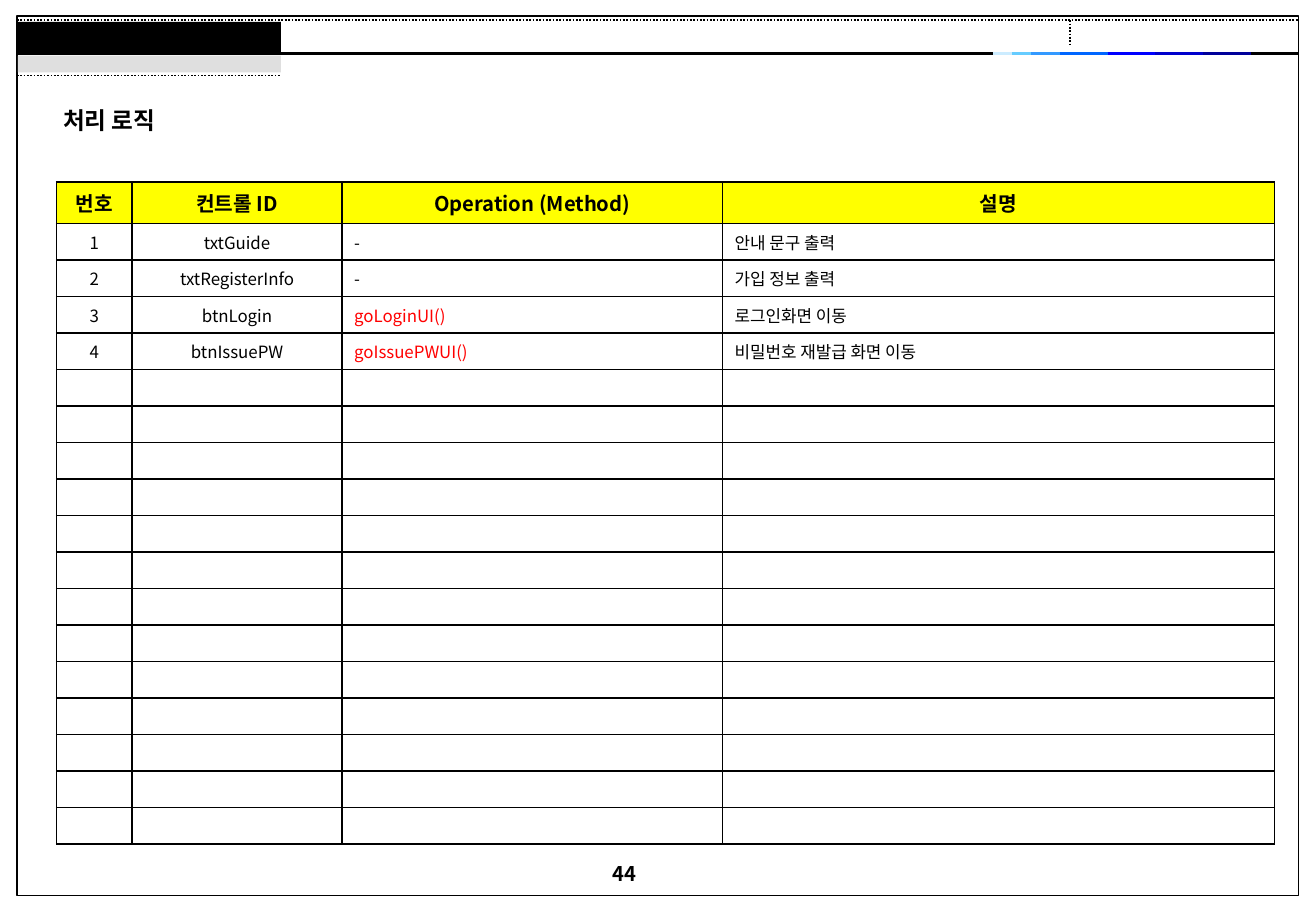
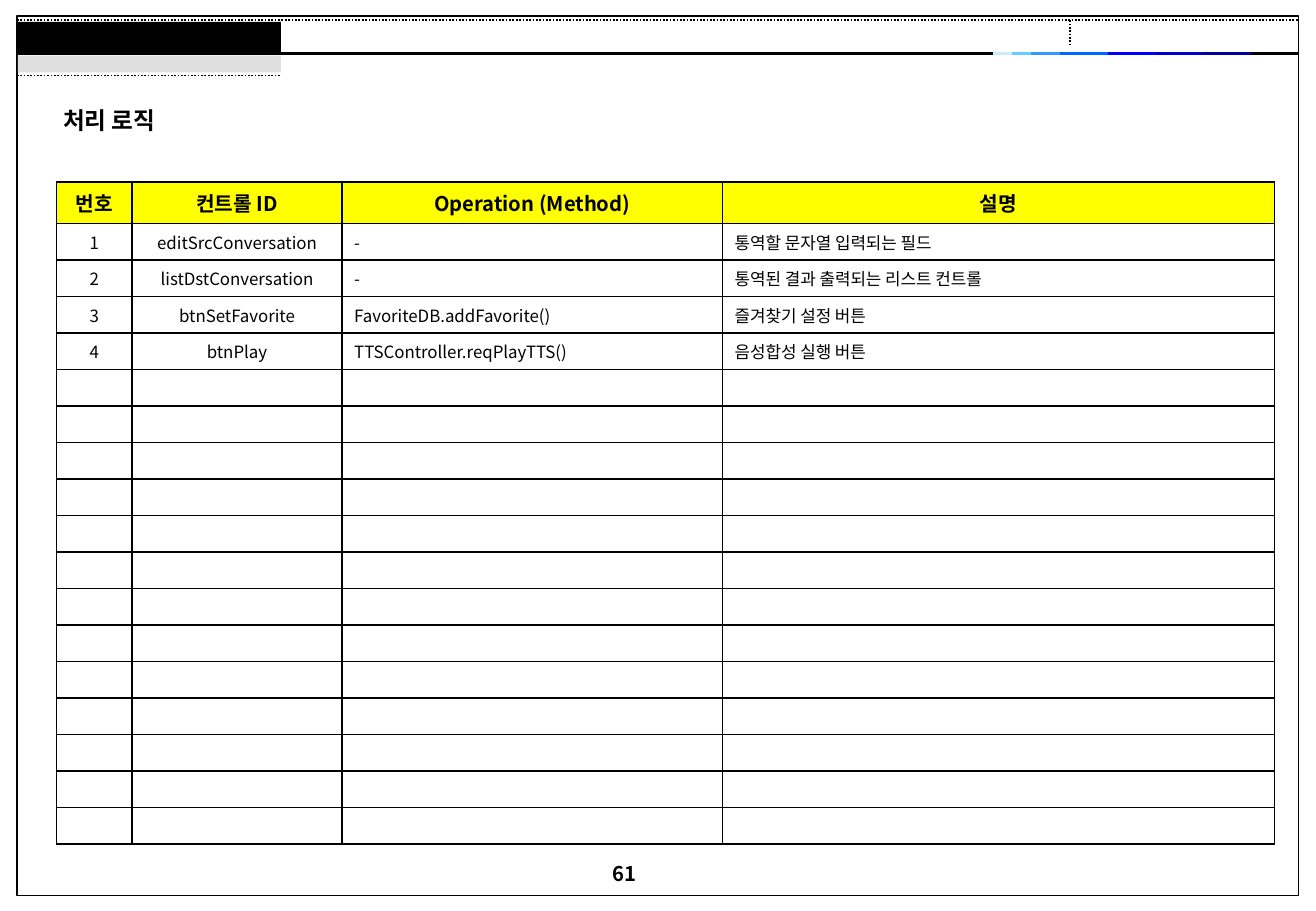
from dataclasses import dataclass

from lxml import etree
from pptx import Presentation
from pptx import util as u
from pptx.dml import color
from pptx.enum import dml, shapes, text
from pptx.oxml import ns


@dataclass(frozen=True)
class Theme:
    font: str = "Noto Sans CJK KR"
    black: str = "000000"
    red: str = "FF0000"
    header: str = "FFFF00"
    tab: str = "C0C0C0"
    blues: tuple = ("CCECFF", "66CCFF", "3399FF", "0066FF",
                    "0000FF", "0000CC", "000099")
    title_size: int = 14
    header_size: int = 12
    body_size: int = 10
    thin: float = 1
    thick: float = 2.25


THEME = Theme()
LEFT, RIGHT, TAB_RIGHT = 10.1, 769.7, 166.6
RULE_Y, DOTS_Y = 31.7, 12
BLUE_START, BLUE_WIDTHS = 588.5, (11.3, 11.3, 17, 28.35, 28.35, 28.35, 28.35)
COLUMNS = (44.7, 124.6, 225.5, 327.2)
HEADER_HEIGHT, ROW_HEIGHT, BODY_ROWS = 24.6, 21.65, 17
HEADERS = ("번호", "컨트롤 ID", "Operation (Method)", "설명")


def rgb(value):
    return color.RGBColor.from_string(value)


def add_element(parent, tag, **attributes):
    return etree.SubElement(parent, ns.qn(tag), attributes)


class Deck:
    def __init__(self, theme):
        self.theme = theme
        self.presentation = Presentation()
        self.presentation.slide_width = u.Pt(780)
        self.presentation.slide_height = u.Pt(540)
        self.slide = None

    def start_slide(self, title, number):
        layout = self.presentation.slide_layouts[5]
        self.slide = self.presentation.slides.add_slide(layout)
        self.frame()
        self.title(title)
        self.page_number(number)

    def frame(self):
        theme = self.theme
        self.rectangle(LEFT, 9.3, RIGHT - LEFT, 521.6, outline=theme.black)
        self.line(LEFT, RULE_Y, RIGHT, RULE_Y, theme.black, theme.thick)
        self.dotted(LEFT, DOTS_Y, RIGHT, DOTS_Y)
        left = BLUE_START
        for blue, width in zip(theme.blues, BLUE_WIDTHS):
            self.line(left, RULE_Y, left + width, RULE_Y, blue, theme.thick)
            left += width
        self.dotted(634.2, DOTS_Y, 634.2, 27)
        self.rectangle(10.5, 13, 156, 18, fill=theme.black)
        self.rectangle(10.5, 33, 156, 10, fill=theme.tab, opacity=50)
        self.dotted(LEFT, 44.8, TAB_RIGHT, 44.8)

    def rectangle(self, left, top, width, height, fill=None, outline=None,
                  opacity=100):
        shape = self.slide.shapes.add_shape(
            shapes.MSO_SHAPE.RECTANGLE,
            u.Pt(left), u.Pt(top), u.Pt(width), u.Pt(height))
        shape.shadow.inherit = False
        if fill:
            shape.fill.solid()
            shape.fill.fore_color.rgb = rgb(fill)
        else:
            shape.fill.background()
        if opacity < 100:
            fill_color = shape._element.spPr.find(".//" + ns.qn("a:srgbClr"))
            add_element(fill_color, "a:alpha", val=str(opacity * 1000))
        if outline:
            shape.line.color.rgb = rgb(outline)
            shape.line.width = u.Pt(self.theme.thin)
        else:
            shape.line.fill.background()

    def line(self, x1, y1, x2, y2, line_color, width):
        connector = self.slide.shapes.add_connector(
            shapes.MSO_CONNECTOR.STRAIGHT,
            u.Pt(x1), u.Pt(y1), u.Pt(x2), u.Pt(y2))
        connector.line.color.rgb = rgb(line_color)
        connector.line.width = u.Pt(width)
        add_element(connector._element.spPr, "a:effectLst")
        return connector

    def dotted(self, x1, y1, x2, y2):
        connector = self.line(x1, y1, x2, y2, self.theme.black, self.theme.thin)
        connector.line.dash_style = dml.MSO_LINE.ROUND_DOT

    def fill_paragraph(self, paragraph, content, size, bold=False,
                       text_color=None, align=text.PP_ALIGN.LEFT):
        paragraph.alignment = align
        if not content:
            add_element(paragraph._p, "a:endParaRPr", sz=str(size * 100))
            return
        paragraph.text = content
        font = paragraph.font
        font.size = u.Pt(size)
        font.bold = bold
        font.color.rgb = rgb(text_color or self.theme.black)
        font.name = self.theme.font
        properties = paragraph._p.pPr.find(ns.qn("a:defRPr"))
        add_element(properties, "a:ea", typeface=self.theme.font)

    def title(self, content):
        title = self.slide.shapes.title
        title.left, title.top = u.Pt(30.2), u.Pt(59)
        title.width, title.height = u.Pt(144.7), u.Pt(24.5)
        title.text_frame.auto_size = text.MSO_AUTO_SIZE.NONE
        title.text_frame.vertical_anchor = text.MSO_ANCHOR.MIDDLE
        self.fill_paragraph(title.text_frame.paragraphs[0], content,
                            self.theme.title_size, bold=True)

    def page_number(self, number):
        box = self.slide.shapes.add_textbox(
            u.Pt(356), u.Pt(507), u.Pt(68), u.Pt(32))
        box.text_frame.word_wrap = True
        self.fill_paragraph(box.text_frame.paragraphs[0], str(number),
                            self.theme.header_size, bold=True)

    def cell(self, cell, content, size, fill=None, **style):
        properties = cell._tc.get_or_add_tcPr()
        for side in ("a:lnL", "a:lnR", "a:lnT", "a:lnB"):
            border = add_element(properties, side,
                                 w=str(u.Pt(self.theme.thin)))
            solid = add_element(border, "a:solidFill")
            add_element(solid, "a:srgbClr", val=self.theme.black)
        if fill:
            cell.fill.solid()
            cell.fill.fore_color.rgb = rgb(fill)
        else:
            cell.fill.background()
        cell.vertical_anchor = text.MSO_ANCHOR.MIDDLE
        self.fill_paragraph(cell.text_frame.paragraphs[0], content, size,
                            **style)

    def method_table(self, controls, method_colors):
        theme = self.theme
        table = self.slide.shapes.add_table(
            BODY_ROWS + 1, len(COLUMNS), u.Pt(33.5), u.Pt(108),
            u.Pt(sum(COLUMNS)),
            u.Pt(HEADER_HEIGHT + BODY_ROWS * ROW_HEIGHT)).table
        table.first_row = table.horz_banding = False
        for column, width in zip(table.columns, COLUMNS):
            column.width = u.Pt(width)
        for index, row in enumerate(table.rows):
            row.height = u.Pt(ROW_HEIGHT if index else HEADER_HEIGHT)

        for column, header in enumerate(HEADERS):
            self.cell(table.cell(0, column), header, theme.header_size,
                      fill=theme.header, bold=True,
                      align=text.PP_ALIGN.CENTER)
        for row in range(1, BODY_ROWS + 1):
            values = ("",) * len(COLUMNS)
            if row <= len(controls):
                values = (str(row), *controls[row - 1])
            for column, value in enumerate(values):
                centered = column < 2
                self.cell(
                    table.cell(row, column), value, theme.body_size,
                    text_color=method_colors.get(value),
                    align=(text.PP_ALIGN.CENTER if centered
                           else text.PP_ALIGN.LEFT))


PAGES = (
    (44, (
        ("txtGuide", "-", "안내 문구 출력"),
        ("txtRegisterInfo", "-", "가입 정보 출력"),
        ("btnLogin", "goLoginUI()", "로그인화면 이동"),
        ("btnIssuePW", "goIssuePWUI()", "비밀번호 재발급 화면 이동"),
    ), {"goLoginUI()": THEME.red, "goIssuePWUI()": THEME.red}),
    (61, (
        ("editSrcConversation", "-", "통역할 문자열 입력되는 필드"),
        ("listDstConversation", "-", "통역된 결과 출력되는 리스트 컨트롤"),
        ("btnSetFavorite", "FavoriteDB.addFavorite()", "즐겨찾기 설정 버튼"),
        ("btnPlay", "TTSController.reqPlayTTS()", "음성합성 실행 버튼"),
    ), {}),
)


def main():
    deck = Deck(THEME)
    for number, controls, method_colors in PAGES:
        deck.start_slide("처리 로직", number)
        deck.method_table(controls, method_colors)
    deck.presentation.save("out.pptx")


if __name__ == "__main__":
    main()
